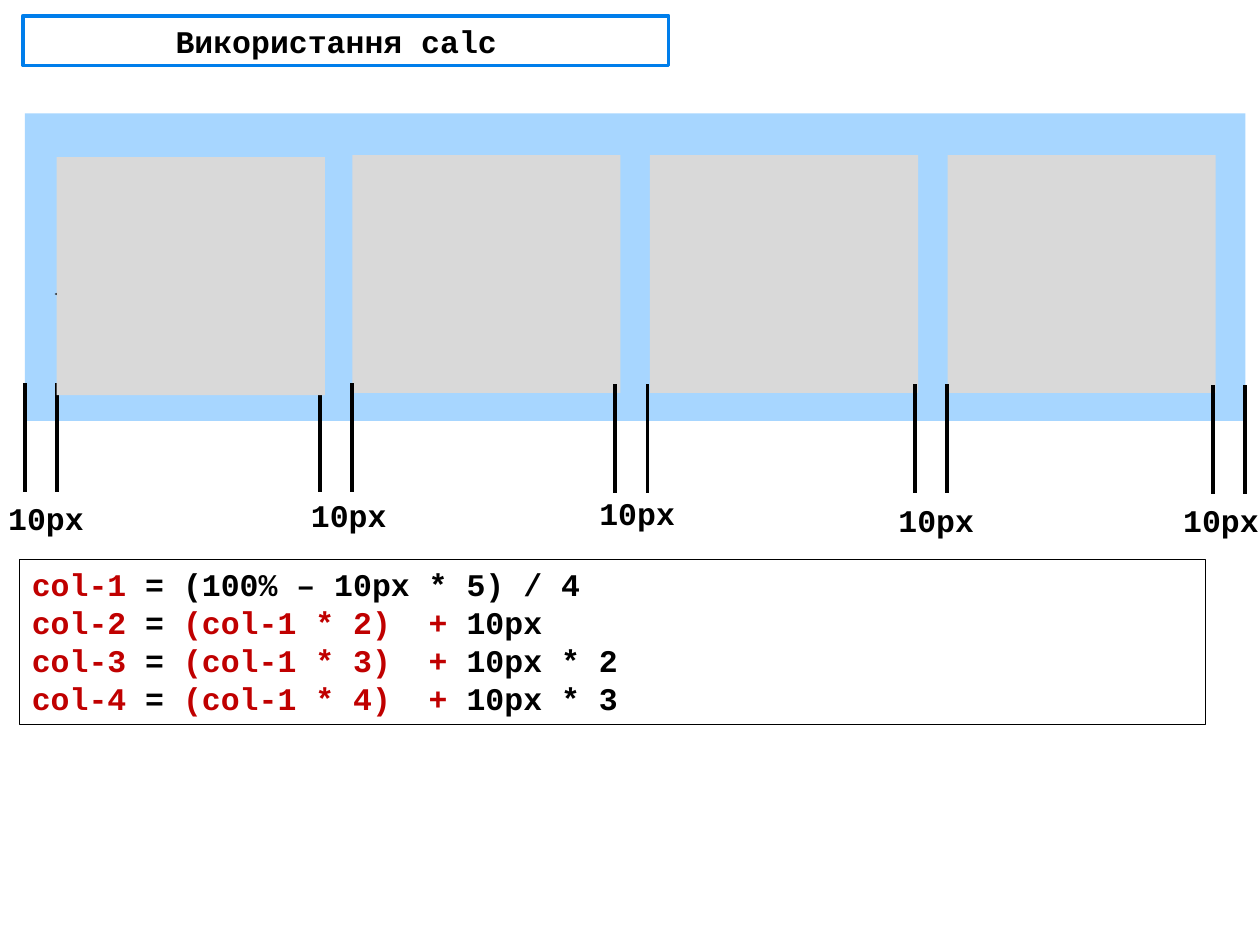
from pptx import Presentation, util as u
from pptx.dml.color import RGBColor
from pptx.enum import shapes, text
from pptx.oxml.ns import qn
from lxml import etree

BLACK, RED, GREY, SKY, BLUE, WHITE = (
    "000000", "C00000", "D9D9D9", "A7D6FF", "007EEB", "FFFFFF")


def color(value):
    return RGBColor.from_string(value)


def write(frame, lines, font="Courier New", size=18, align=text.PP_ALIGN.LEFT,
          anchor=text.MSO_ANCHOR.TOP, wrap=True):
    """Fill a frame; each line is a list of (wording, colour) runs."""
    frame.word_wrap = wrap
    frame.auto_size = text.MSO_AUTO_SIZE.NONE
    frame.vertical_anchor = anchor
    for index, runs in enumerate(lines):
        paragraph = frame.add_paragraph() if index else frame.paragraphs[0]
        paragraph.alignment = align
        for wording, tint in runs:
            run = paragraph.add_run()
            run.text = wording
            run.font.name, run.font.size, run.font.bold = font, u.Pt(size), True
            run.font.color.rgb = color(tint)


class Board:
    """Holds the current slide and its line style."""
    line_width = 2.25

    def __init__(self, slide):
        self.slide = slide

    def outline(self, shape, tint, width):
        shape.line.color.rgb = color(tint)
        shape.line.width = u.Pt(width)

    def title(self, wording, left, top, width, height):
        heading = self.slide.shapes.title
        heading.left, heading.top = u.Pt(left), u.Pt(top)
        heading.width, heading.height = u.Pt(width), u.Pt(height)
        heading.fill.solid()
        heading.fill.fore_color.rgb = color(WHITE)
        self.outline(heading, BLUE, 2)
        write(heading.text_frame, [[(wording, BLACK)]],
              align=text.PP_ALIGN.CENTER, anchor=text.MSO_ANCHOR.MIDDLE)

    def box(self, left, top, width, height, fill=None, line=None):
        shape = self.slide.shapes.add_shape(
            shapes.MSO_SHAPE.RECTANGLE, *map(u.Pt, (left, top, width, height)))
        shape.shadow.inherit = False
        if fill:
            shape.fill.solid()
            shape.fill.fore_color.rgb = color(fill)
        else:
            shape.fill.background()
        if line:
            self.outline(shape, line, 0.75)
        else:
            shape.line.fill.background()
        return shape

    def line(self, x1, y1, x2, y2, arrows=False):
        connector = self.slide.shapes.add_connector(
            shapes.MSO_CONNECTOR.STRAIGHT, *map(u.Pt, (x1, y1, x2, y2)))
        self.outline(connector, BLACK, self.line_width)
        if arrows:
            for end in ("a:headEnd", "a:tailEnd"):
                etree.SubElement(connector.line._get_or_add_ln(), qn(end),
                                 type="triangle")
        etree.SubElement(connector._element.spPr, qn("a:effectLst"))

    def label(self, wording, left, top, width=58.3, height=29):
        area = self.slide.shapes.add_textbox(
            *map(u.Pt, (left, top, width, height)))
        write(area.text_frame, [[(wording, BLACK)]], wrap=False)


deck = Presentation()
deck.slide_width, deck.slide_height = u.Pt(720), u.Pt(540)
board = Board(deck.slides.add_slide(deck.slide_layouts[5]))

board.title("Використання calc ", 13, 9, 369, 28.4)

# Container and its columns
COLUMN_WIDTH, COLUMN_HEIGHT, COLUMN_STEP = 153.2, 136, 170.1
board.box(14.2, 64.8, 697.5, 175.7, fill=SKY)
for column in range(3):
    board.box(201.3 + column * COLUMN_STEP, 88.6,
              COLUMN_WIDTH, COLUMN_HEIGHT, fill=GREY)
board.line(31.2, 168, 184.5, 168, arrows=True)

# Gutters: left edge, top edge, label left, label top
GUTTER, MARK_HEIGHT = 18.5, 62.2
for left, top, label_left, label_top in (
        (14.2, 218.9, -2.4, 281.6),
        (182.8, 218.9, 170.6, 280),
        (351.5, 219.5, 335.4, 278.8),
        (522.9, 219.5, 506.3, 282.8),
        (693.1, 220.1, 669, 282.5)):
    for x in (left, left + GUTTER):
        board.line(x, top, x, top + MARK_HEIGHT)
    board.label("10px", label_left, label_top)

# First column lies over the width arrow
board.box(32.4, 89.8, COLUMN_WIDTH, COLUMN_HEIGHT, fill=GREY)

# Width formulas
formulas = [[("col-1", RED), (" = (100% – 10px * 5) / 4", BLACK)]]
for span, gutters in ((2, "10px"), (3, "10px * 2"), (4, "10px * 3")):
    formulas.append([(f"col-{span} ", RED), ("= ", BLACK),
                     (f"(col-1 * {span})  + ", RED), (gutters, BLACK)])
rules = board.box(11.1, 319.6, 677.8, 94.5, line=BLACK)
write(rules.text_frame, formulas)

deck.save("out.pptx")
